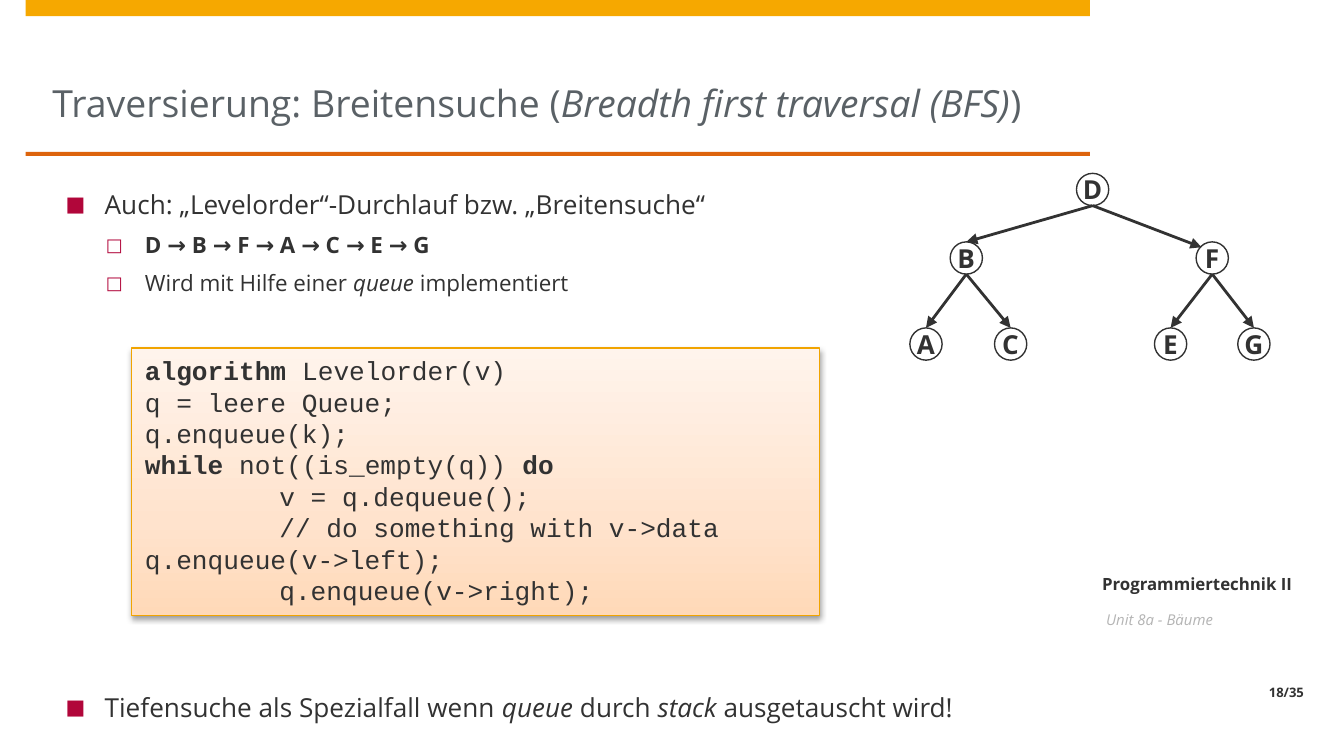
from copy import deepcopy
from dataclasses import dataclass

from lxml.etree import SubElement
from pptx import Presentation
from pptx.dml.color import RGBColor
from pptx.enum.shapes import MSO_CONNECTOR, MSO_SHAPE
from pptx.enum.text import MSO_ANCHOR, PP_ALIGN
from pptx.oxml.ns import qn
from pptx.util import Pt

PX = 9144  # EMU per px, 100 px to the inch
NODE_SIZE = 24
SANS, MONO = "Open Sans", "Courier New"

INK = RGBColor(0x32, 0x32, 0x32)
TITLE_GRAY = RGBColor(0x5A, 0x61, 0x66)
UNIT_GRAY = RGBColor(0xB4, 0xB4, 0xB4)
YELLOW = RGBColor(0xF6, 0xA8, 0x00)
ORANGE = RGBColor(0xDD, 0x64, 0x0C)
CODE_BORDER = RGBColor(0xF1, 0xA4, 0x00)
BULLET_RED = RGBColor(0xB1, 0x06, 0x3A)
CODE_STOPS = (
    (0, RGBColor(0xFF, 0xD9, 0xB8)),
    (0.35, RGBColor(0xFF, 0xE3, 0xCD)),
    (1, RGBColor(0xFF, 0xF4, 0xEC)),
)


@dataclass(frozen=True)
class Style:
    size: int
    color: RGBColor = INK
    font: str = SANS


@dataclass(frozen=True)
class Span:
    text: str
    bold: bool = False
    italic: bool = False


@dataclass(frozen=True)
class Bullet:
    level: int
    spans: tuple[Span, ...]
    space_before: int = 3


@dataclass(frozen=True)
class Label:
    box: tuple[int, int, int, int]
    span: Span
    style: Style
    align: PP_ALIGN
    anchor: MSO_ANCHOR
    left_inset: int = 12


@dataclass(frozen=True)
class Node:
    left: int
    top: int


@dataclass(frozen=True)
class Edge:
    parent: str
    child: str
    tip_offset: tuple[int, int] = (12, 0)  # from the child's top left corner


TITLE = (
    Span("Traversierung: Breitensuche ("),
    Span("Breadth first traversal (BFS)", italic=True),
    Span(")"),
)
BULLETS = (
    Bullet(0, (Span("Auch: „Levelorder“-Durchlauf bzw. „Breitensuche“"),)),
    Bullet(1, (Span("D → B → F → A → C → E → G", bold=True),)),
    Bullet(1, (Span("Wird mit Hilfe einer "), Span("queue", italic=True),
               Span(" implementiert"))),
    Bullet(0, (Span("Tiefensuche als Spezialfall wenn "), Span("queue", italic=True),
               Span(" durch "), Span("stack", italic=True),
               Span(" ausgetauscht wird!")), space_before=209),
)
CODE = (
    Span("algorithm", bold=True),
    Span(" Levelorder(v)\nq = leere Queue;\nq.enqueue(k);\n"),
    Span("while", bold=True),
    Span(" not((is_empty(q)) "),
    Span("do\n", bold=True),
    Span("\tv = q.dequeue();\n\t// do something with v->data \tq.enqueue(v->left);\n"
         "\tq.enqueue(v->right);"),
)
LABELS = (
    Label((811, 390, 169, 57), Span("Programmiertechnik II", bold=True), Style(9),
          PP_ALIGN.CENTER, MSO_ANCHOR.BOTTOM, left_inset=0),
    Label((811, 454, 169, 52), Span("Unit 8a - Bäume", italic=True),
          Style(8, UNIT_GRAY), PP_ALIGN.LEFT, MSO_ANCHOR.TOP),
    Label((811, 506, 169, 20), Span("18/35", bold=True), Style(7),
          PP_ALIGN.RIGHT, MSO_ANCHOR.BOTTOM),
)
NODES = {
    "D": Node(801, 129),
    "B": Node(707, 180), "F": Node(890, 180),
    "A": Node(677, 244), "C": Node(740, 244),
    "E": Node(859, 244), "G": Node(921, 244),
}
EDGES = (
    Edge("D", "B"), Edge("D", "F", tip_offset=(4, 4)),
    Edge("B", "A"), Edge("B", "C"), Edge("F", "E"), Edge("F", "G"),
)


def px(*lengths: int) -> list[int]:
    return [length * PX for length in lengths]


def write_spans(paragraph, spans: tuple[Span, ...], style: Style) -> None:
    for span in spans:
        for index, line in enumerate(span.text.split("\n")):
            if index:
                paragraph.add_line_break()
            if line:
                run = paragraph.add_run()
                run.text = line
                font = run.font
                font.name, font.size = style.font, Pt(style.size)
                font.bold, font.italic = span.bold, span.italic
                font.color.rgb = style.color


def add_frame(slide, box: tuple[int, int, int, int], insets=(10, 5, 10, 5),
              anchor: MSO_ANCHOR = MSO_ANCHOR.TOP):
    frame = slide.shapes.add_textbox(*px(*box)).text_frame
    frame.word_wrap = True
    frame.vertical_anchor = anchor
    (frame.margin_left, frame.margin_top,
     frame.margin_right, frame.margin_bottom) = px(*insets)
    return frame


def add_bar(slide, box: tuple[int, int, int, int], color: RGBColor) -> None:
    bar = slide.shapes.add_shape(MSO_SHAPE.RECTANGLE, *px(*box))
    bar.shadow.inherit = False
    bar.fill.solid()
    bar.fill.fore_color.rgb = color
    bar.line.fill.background()


def add_label(slide, label: Label) -> None:
    frame = add_frame(slide, label.box, (label.left_inset, 0, 10, 5), label.anchor)
    paragraph = frame.paragraphs[0]
    paragraph.alignment = label.align
    write_spans(paragraph, (label.span,), label.style)


def add_bullets(slide, bullets: tuple[Bullet, ...]) -> None:
    frame = add_frame(slide, (39, 135, 752, 415))
    for index, bullet in enumerate(bullets):
        paragraph = frame.add_paragraph() if index else frame.paragraphs[0]
        paragraph.level = bullet.level
        paragraph.space_before, paragraph.space_after = Pt(bullet.space_before), Pt(3)
        props = paragraph._p.get_or_add_pPr()
        props.set("marL", str((bullet.level + 1) * 29 * PX + bullet.level * PX))
        props.set("indent", str(-29 * PX))
        color = SubElement(props, qn("a:buClr"))
        SubElement(color, qn("a:srgbClr"), val=str(BULLET_RED))
        SubElement(props, qn("a:buSzPct"), val="80000")
        SubElement(props, qn("a:buFont"), typeface=SANS)
        SubElement(props, qn("a:buChar"), char="■□"[bullet.level])
        write_spans(paragraph, bullet.spans, Style(14 - 2 * bullet.level))


def add_node(slide, name: str, node: Node) -> None:
    circle = slide.shapes.add_shape(
        MSO_SHAPE.OVAL, *px(node.left, node.top, NODE_SIZE, NODE_SIZE))
    circle.shadow.inherit = False
    circle.fill.background()
    circle.line.color.rgb, circle.line.width = INK, Pt(0.75)
    frame = circle.text_frame
    frame.word_wrap = False
    frame.vertical_anchor = MSO_ANCHOR.MIDDLE
    frame.paragraphs[0].alignment = PP_ALIGN.CENTER
    write_spans(frame.paragraphs[0], (Span(name, bold=True),), Style(14))


def add_edge(slide, edge: Edge) -> None:
    parent, child = NODES[edge.parent], NODES[edge.child]
    arrow = slide.shapes.add_connector(MSO_CONNECTOR.STRAIGHT, *px(
        parent.left + NODE_SIZE // 2, parent.top + NODE_SIZE,
        child.left + edge.tip_offset[0], child.top + edge.tip_offset[1]))
    arrow.line.color.rgb, arrow.line.width = INK, Pt(1.5)
    SubElement(arrow.line._get_or_add_ln(), qn("a:tailEnd"), type="triangle")
    SubElement(arrow._element.spPr, qn("a:effectLst"))


def add_code(slide) -> None:
    panel = slide.shapes.add_shape(MSO_SHAPE.RECTANGLE, *px(98, 259, 512, 199))
    panel.line.color.rgb, panel.line.width = CODE_BORDER, Pt(0.75)
    # Three-stop gradient, darkest at the bottom
    panel.fill.gradient()
    panel.fill.gradient_angle = 90
    first = panel._element.spPr.find(".//" + qn("a:gs"))
    first.addnext(deepcopy(first))
    for stop, (position, color) in zip(panel.fill.gradient_stops, CODE_STOPS):
        stop.position, stop.color.rgb = position, color
    # Soft shadow below
    panel.shadow.inherit = False
    shadow = SubElement(panel._element.spPr.find(qn("a:effectLst")), qn("a:outerShdw"),
                        blurRad=str(Pt(3.1)), dist=str(Pt(1.6)), dir="5400000",
                        rotWithShape="0")
    shade = SubElement(shadow, qn("a:srgbClr"), val="000000")
    SubElement(shade, qn("a:alpha"), val="38000")
    # Listing with one-inch tabs
    frame = panel.text_frame
    frame.word_wrap = True
    frame.vertical_anchor = MSO_ANCHOR.TOP
    paragraph = frame.paragraphs[0]
    paragraph.alignment = PP_ALIGN.LEFT
    tabs = SubElement(paragraph._p.get_or_add_pPr(), qn("a:tabLst"))
    SubElement(tabs, qn("a:tab"), pos=str(100 * PX), algn="l")
    write_spans(paragraph, CODE, Style(14, font=MONO))


def main() -> None:
    deck = Presentation()
    deck.slide_width = 1000 * PX
    deck.slide_height = deck.slide_width * 9 // 16
    slide = deck.slides.add_slide(deck.slide_layouts[6])

    # Header bars and footer labels
    add_bar(slide, (19, 0, 792, 12), YELLOW)
    add_bar(slide, (19, 113, 792, 3), ORANGE)
    for label in LABELS:
        add_label(slide, label)

    # Body and title
    add_bullets(slide, BULLETS)
    title = add_frame(slide, (39, 12, 752, 101), (0, 0, 0, 20), MSO_ANCHOR.BOTTOM)
    write_spans(title.paragraphs[0], TITLE, Style(20, TITLE_GRAY))

    # Tree
    for name, node in NODES.items():
        add_node(slide, name, node)
    for edge in EDGES:
        add_edge(slide, edge)

    add_code(slide)
    deck.save("out.pptx")


if __name__ == "__main__":
    main()
